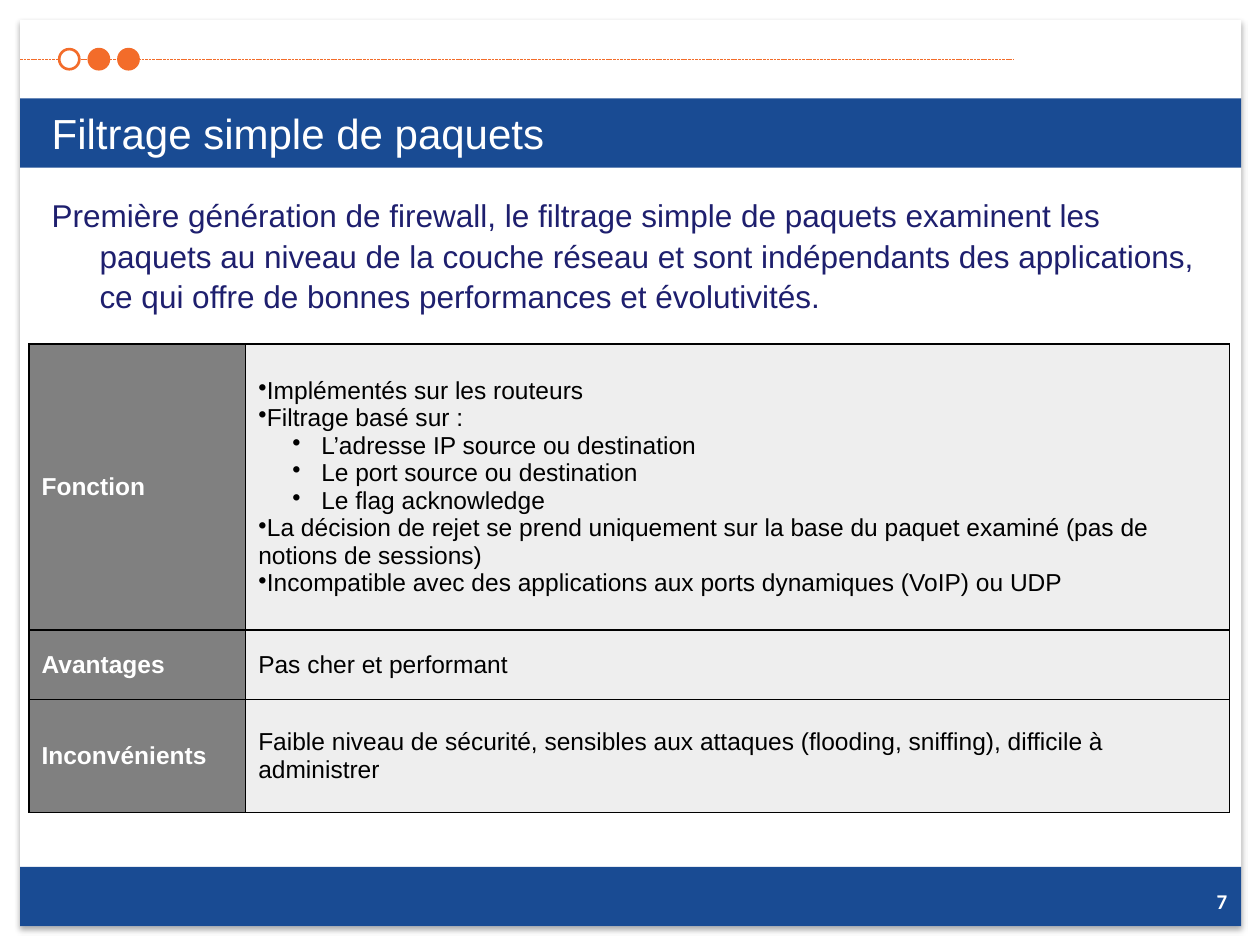
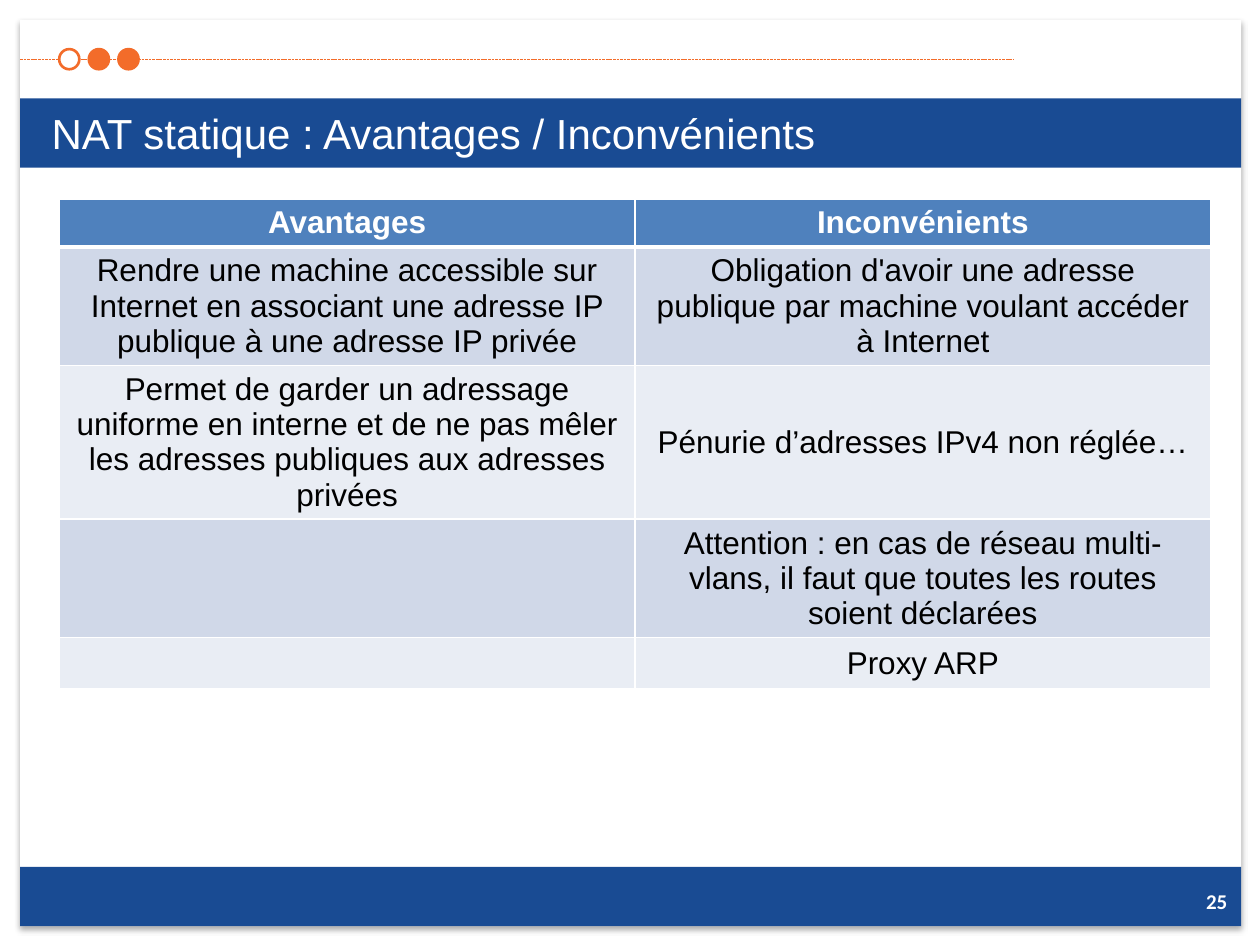
from lxml.etree import SubElement
from pptx import Presentation
from pptx.dml.color import RGBColor
from pptx.enum.dml import MSO_LINE
from pptx.enum.shapes import MSO_CONNECTOR, MSO_SHAPE
from pptx.enum.text import MSO_ANCHOR, MSO_AUTO_SIZE, PP_ALIGN
from pptx.oxml import parse_xml
from pptx.oxml.ns import nsdecls, qn
from pptx.util import Inches, Pt

BLUE, ORANGE, NAVY = "194B93", "F36C2A", "1E1F6E"
WHITE, BLACK = "FFFFFF", "000000"
LABEL_GRAY, CELL_GRAY = "808080", "EEEEEE"
HEADER_BLUE, BAND_DARK, BAND_LIGHT = "4F81BD", "D0D8E8", "E9EDF4"
PAGE_LEFT, PAGE_WIDTH = 0.16, 9.69
TITLE_AREA = (0.31, 0.78, 9.38, 0.55)
TITLE_ONLY, TITLE_AND_BODY = 5, 1


def color(value):
    return RGBColor.from_string(value)


def box(left, top, width, height):
    return [Inches(length) for length in (left, top, width, height)]


class Deck:
    """Holds the shared style and the slide being built."""

    def __init__(self):
        self.presentation = Presentation()
        self.presentation.slide_width = Inches(10)
        self.presentation.slide_height = Inches(7.5)
        self.slide = None

    def new_slide(self, layout, title, number):
        layouts = self.presentation.slide_layouts
        self.slide = self.presentation.slides.add_slide(layouts[layout])
        placeholders = list(self.slide.placeholders)
        self.frame()
        # Placeholders belong in front of the frame
        for placeholder in placeholders:
            element = placeholder._element
            element.getparent().append(element)
        self.title(title)
        self.page_number(number)

    def frame(self):
        page = self.shape(MSO_SHAPE.RECTANGLE, (PAGE_LEFT, 0.16, PAGE_WIDTH, 7.19), WHITE)
        self.soft_shadow(page)
        self.dashed_line(PAGE_LEFT, 8.05, 0.47)
        for top, height in ((6.88, 0.47), (0.78, 0.55)):
            self.shape(MSO_SHAPE.RECTANGLE, (PAGE_LEFT, top, PAGE_WIDTH, height), BLUE)
        for index, fill in enumerate((WHITE, ORANGE, ORANGE)):
            left = 0.47 + index * 0.235
            self.shape(MSO_SHAPE.OVAL, (left, 0.39, 0.16, 0.16), fill, ORANGE)

    def shape(self, kind, area, fill, line=None):
        shape = self.slide.shapes.add_shape(kind, *box(*area))
        shape.shadow.inherit = False
        shape.fill.solid()
        shape.fill.fore_color.rgb = color(fill)
        if line:
            shape.line.color.rgb = color(line)
            shape.line.width = Pt(1.5)
        else:
            shape.line.fill.background()
        return shape

    def soft_shadow(self, shape):
        effects = shape._element.spPr.find(qn("a:effectLst"))
        shadow = SubElement(effects, qn("a:outerShdw"), blurRad=str(Pt(3.5)),
                            dist=str(Pt(2.2)), dir="5400000", rotWithShape="0")
        shade = SubElement(shadow, qn("a:srgbClr"), val=BLACK)
        SubElement(shade, qn("a:alpha"), val="32000")

    def dashed_line(self, start, end, top):
        line = self.slide.shapes.add_connector(
            MSO_CONNECTOR.STRAIGHT, Inches(start), Inches(top), Inches(end), Inches(top))
        line.line.color.rgb = color(ORANGE)
        line.line.width = Pt(0.5)
        line.line.dash_style = MSO_LINE.SQUARE_DOT
        SubElement(line._element.spPr, qn("a:effectLst"))

    def style(self, paragraph, size, ink, bold=False, align=PP_ALIGN.LEFT, font="Arial"):
        paragraph.alignment = align
        for run in paragraph.runs:
            run.font.name = font
            run.font.size = Pt(size)
            run.font.bold = bold
            run.font.color.rgb = color(ink)

    def bullet(self, paragraph, character=None, left=0, indent=0):
        properties = paragraph._p.get_or_add_pPr()
        properties.set("marL", str(Inches(left)))
        properties.set("indent", str(Inches(indent)))
        if character:
            SubElement(properties, qn("a:buChar"), char=character)
        else:
            SubElement(properties, qn("a:buNone"))

    def place(self, shape, area, anchor):
        shape.left, shape.top, shape.width, shape.height = box(*area)
        frame = shape.text_frame
        frame.word_wrap = True
        frame.auto_size = MSO_AUTO_SIZE.NONE
        frame.vertical_anchor = anchor
        return frame

    def title(self, text):
        frame = self.place(self.slide.shapes.title, TITLE_AREA, MSO_ANCHOR.MIDDLE)
        frame.text = text
        self.style(frame.paragraphs[0], 24, WHITE)

    def body(self, text):
        frame = self.place(self.slide.placeholders[1], (0.31, 1.48, 9.38, 1.2), MSO_ANCHOR.TOP)
        frame.text = text
        paragraph = frame.paragraphs[0]
        paragraph.line_spacing = 1.08
        paragraph.space_before = Pt(0)
        self.style(paragraph, 18, NAVY)
        self.bullet(paragraph, left=0.38, indent=-0.38)

    def page_number(self, number):
        area = (8.98, 6.95, 0.86, 0.4)
        shape = self.slide.shapes.add_textbox(*box(*area))
        frame = self.place(shape, area, MSO_ANCHOR.MIDDLE)
        frame.text = str(number)
        self.style(frame.paragraphs[0], 12, WHITE, True, PP_ALIGN.RIGHT, "Calibri")

    def table(self, left, top, columns, rows):
        shape = self.slide.shapes.add_table(
            len(rows), len(columns), *box(left, top, sum(columns), sum(rows)))
        table = shape.table
        table.first_row = table.horz_banding = False
        for column, width in zip(table.columns, columns):
            column.width = Inches(width)
        for row, height in zip(table.rows, rows):
            row.height = Inches(height)
        return table

    def cell(self, cell, text, fill, border, top=1, bottom=1, **style):
        cell.text = text
        cell.vertical_anchor = MSO_ANCHOR.MIDDLE
        cell.fill.solid()
        cell.fill.fore_color.rgb = color(fill)
        for paragraph in cell.text_frame.paragraphs:
            self.style(paragraph, **style)
            paragraph.font.size = Pt(style["size"])
        properties = cell._tc.get_or_add_tcPr()
        for index, (side, width) in enumerate(zip("LRTB", (1, 1, top, bottom))):
            properties.insert(index, parse_xml(
                f'<a:ln{side} {nsdecls("a")} w="{Pt(width)}"><a:solidFill>'
                f'<a:srgbClr val="{border}"/></a:solidFill></a:ln{side}>'))


def packet_filtering(deck):
    deck.new_slide(TITLE_AND_BODY, "Filtrage simple de paquets", 7)
    deck.body("Première génération de firewall, le filtrage simple de paquets examinent les "
              "paquets au niveau de la couche réseau et sont indépendants des applications, "
              "ce qui offre de bonnes performances et évolutivités.")

    # Label column and description column
    functions = [
        (0, "Implémentés sur les routeurs"),
        (0, "Filtrage basé sur :"),
        (1, "L’adresse IP source ou destination"),
        (1, "Le port source ou destination"),
        (1, "Le flag acknowledge"),
        (0, "La décision de rejet se prend uniquement sur la base du paquet examiné "
            "(pas de notions de sessions)"),
        (0, "Incompatible avec des applications aux ports dynamiques (VoIP) ou UDP"),
    ]
    entries = [
        ("Fonction", "\n".join(text for _, text in functions)),
        ("Avantages", "Pas cher et performant"),
        ("Inconvénients", "Faible niveau de sécurité, sensibles aux attaques "
                          "(flooding, sniffing), difficile à administrer"),
    ]
    table = deck.table(0.23, 2.73, (1.72, 7.81), (2.27, 0.55, 0.9))
    for row, (label, description) in enumerate(entries):
        deck.cell(table.cell(row, 0), label, LABEL_GRAY, BLACK, size=14, ink=WHITE, bold=True)
        deck.cell(table.cell(row, 1), description, CELL_GRAY, BLACK, size=14, ink=BLACK)

    # Two bullet levels in the function cell
    paragraphs = table.cell(0, 1).text_frame.paragraphs
    for paragraph, (level, _) in zip(paragraphs, functions):
        paragraph.level = level
        deck.bullet(paragraph, "•", 0.5 * level, -0.23 * level)


def static_nat(deck):
    deck.new_slide(TITLE_ONLY, "NAT statique : Avantages / Inconvénients", 25)
    comparison = [
        ("Avantages", "Inconvénients"),
        ("Rendre une machine accessible sur Internet en associant une adresse IP publique "
         "à une adresse IP privée",
         "Obligation d'avoir une adresse publique par machine voulant accéder à Internet"),
        ("Permet de garder un adressage uniforme en interne et de ne pas mêler les adresses "
         "publiques aux adresses privées",
         "Pénurie d’adresses IPv4 non réglée…"),
        ("", "Attention : en cas de réseau multi-vlans, il faut que toutes les routes "
             "soient déclarées"),
        ("", "Proxy ARP"),
    ]
    table = deck.table(0.47, 1.58, (4.57, 4.57), (0.38, 0.93, 1.22, 0.94, 0.4))
    for row, texts in enumerate(comparison):
        header = row == 0
        fill = HEADER_BLUE if header else (BAND_LIGHT, BAND_DARK)[row % 2]
        for column, text in enumerate(texts):
            deck.cell(table.cell(row, column), text, fill, WHITE,
                      top=3 if row == 1 else 1, bottom=3 if header else 1,
                      size=18, ink=WHITE if header else BLACK, bold=header,
                      align=PP_ALIGN.CENTER)


def main():
    deck = Deck()
    packet_filtering(deck)
    static_nat(deck)
    deck.presentation.save("out.pptx")


if __name__ == "__main__":
    main()
